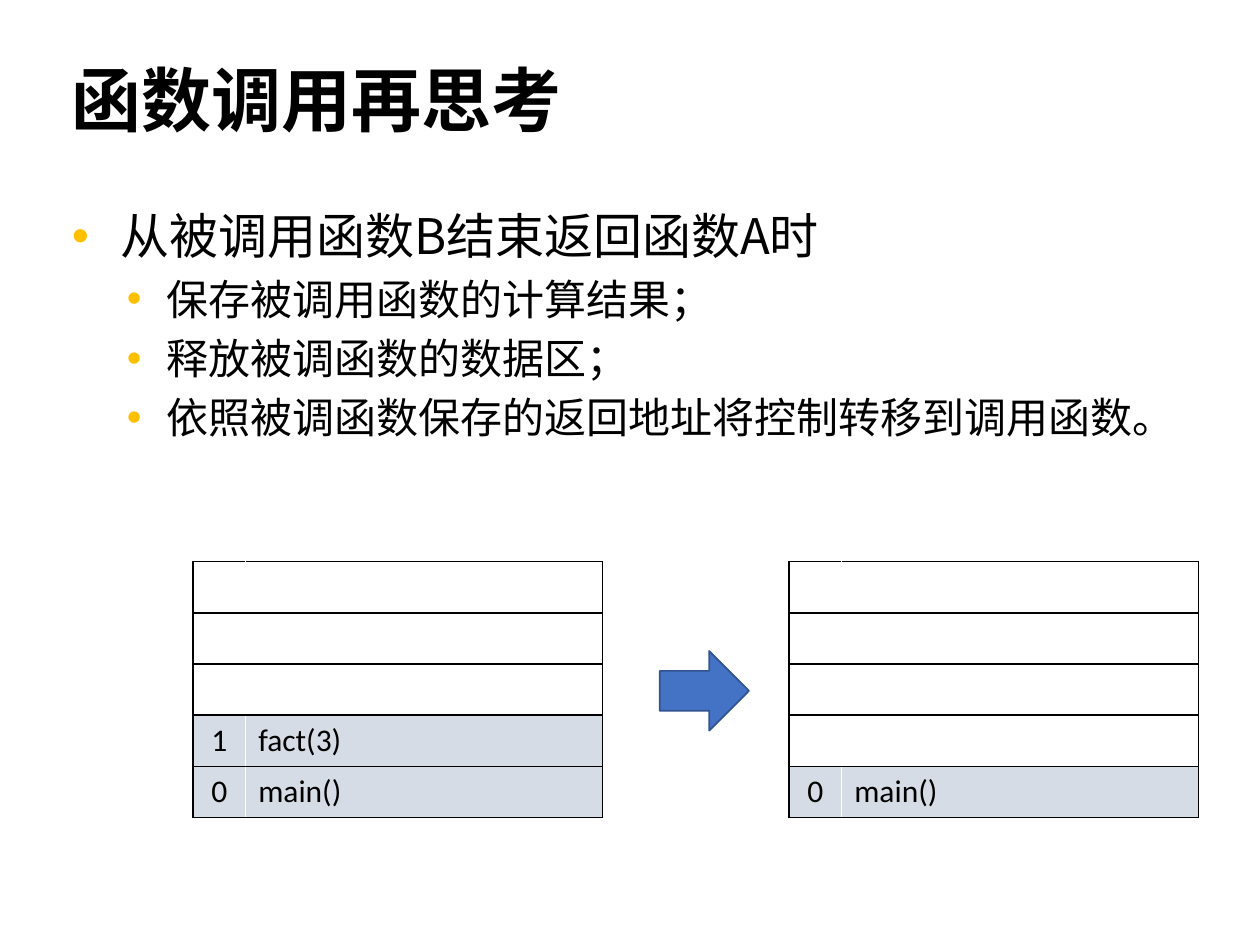
from lxml.etree import SubElement, Element
from pptx import Presentation
from pptx.dml.color import RGBColor
from pptx.enum.lang import MSO_LANGUAGE_ID
from pptx.enum.shapes import MSO_SHAPE
from pptx.enum.text import PP_ALIGN
from pptx.oxml.ns import qn
from pptx.util import Pt

BLACK = RGBColor(0x00, 0x00, 0x00)
GOLD = RGBColor(0xFF, 0xC0, 0x00)
GREY = RGBColor(0xD6, 0xDC, 0xE5)
BLUE = RGBColor(0x44, 0x72, 0xC4)
NAVY = RGBColor(0x32, 0x54, 0x91)


def add_run(para, text, size, font="Calibri", bold=False):
    run = para.add_run()
    run.text = text
    run.font.size = Pt(size)
    run.font.name = font
    run.font.bold = bold
    run.font.color.rgb = BLACK
    run.font.language_id = MSO_LANGUAGE_ID.SIMPLIFIED_CHINESE


def add_edges(cell, sides):
    """Draw 1 pt black borders; sides is a subset of "LRTB" in that order."""
    props = cell._tc.get_or_add_tcPr()
    for spot, side in enumerate(sides):
        line = Element(qn(f"a:ln{side}"), w=str(Pt(1)))
        fill = SubElement(line, qn("a:solidFill"))
        SubElement(fill, qn("a:srgbClr"), val=str(BLACK))
        props.insert(spot, line)


prs = Presentation()
prs.slide_width, prs.slide_height = Pt(720), Pt(540)
slide = prs.slides.add_slide(prs.slide_layouts[6])
shapes = slide.shapes

# Title
title = shapes.add_textbox(Pt(34), Pt(34), Pt(652), Pt(70)).text_frame
title.word_wrap = True
para = title.paragraphs[0]
para.line_spacing = 0.9
add_run(para, "函数调用再思考", 40, bold=True)

# Bullets: text, level, size, font, left margin, hanging indent
points = [
    ("从被调用函数B结束返回函数A时", 0, 28, "Noto Sans CJK SC", 28, 28),
    ("保存被调用函数的计算结果；", 1, 24, "Calibri", 54, 22.5),
    ("释放被调函数的数据区；", 1, 24, "Calibri", 54, 22.5),
    ("依照被调函数保存的返回地址将控制转移到调用函数。", 1, 24, "Calibri", 54, 22.5),
]
body = shapes.add_textbox(Pt(34), Pt(114), Pt(652), Pt(371)).text_frame
body.word_wrap = True
for i, (text, level, size, font, left, hang) in enumerate(points):
    para = body.add_paragraph() if i else body.paragraphs[0]
    para.level = level
    if i:
        para.space_before = Pt(5)
    props = para._p.get_or_add_pPr()
    props.set("marL", str(Pt(left)))
    props.set("indent", str(-Pt(hang)))
    tint = SubElement(props, qn("a:buClr"))
    SubElement(tint, qn("a:srgbClr"), val=str(GOLD))
    SubElement(props, qn("a:buFont"), typeface="Arial")
    SubElement(props, qn("a:buChar"), char="•")
    add_run(para, text, size, font)

# Call stacks before and after the return, frames listed from the top
ROWS, ROW = 5, 29.25
stacks = [
    (110.4, [("1", "fact(3)"), ("0", "main()")]),
    (451, [("0", "main()")]),
]
for left, frames in stacks:
    table = shapes.add_table(
        ROWS, 2, Pt(left), Pt(321), Pt(234), Pt(ROWS * ROW)).table
    table.first_row = table.horz_banding = False
    table.columns[0].width, table.columns[1].width = Pt(30), Pt(204)
    blank = ROWS - len(frames)
    for r, row in enumerate(table.rows):
        row.height = Pt(ROW)
        for c, cell in enumerate(row.cells):
            para = cell.text_frame.paragraphs[0]
            if r < blank:
                cell.fill.background()
                para.font.size = Pt(18)
            else:
                cell.fill.solid()
                cell.fill.fore_color.rgb = GREY
                para.alignment = PP_ALIGN.LEFT if c else PP_ALIGN.CENTER
                add_run(para, frames[r - blank][c], 18)
            add_edges(cell, "RTB" if c else "LTB")

# Arrow between the stacks
arrow = shapes.add_shape(
    MSO_SHAPE.RIGHT_ARROW, Pt(377), Pt(372), Pt(51), Pt(45.5))
arrow.shadow.inherit = False
arrow.fill.solid()
arrow.fill.fore_color.rgb = BLUE
arrow.line.color.rgb = NAVY
arrow.line.width = Pt(1)

prs.save("out.pptx")
